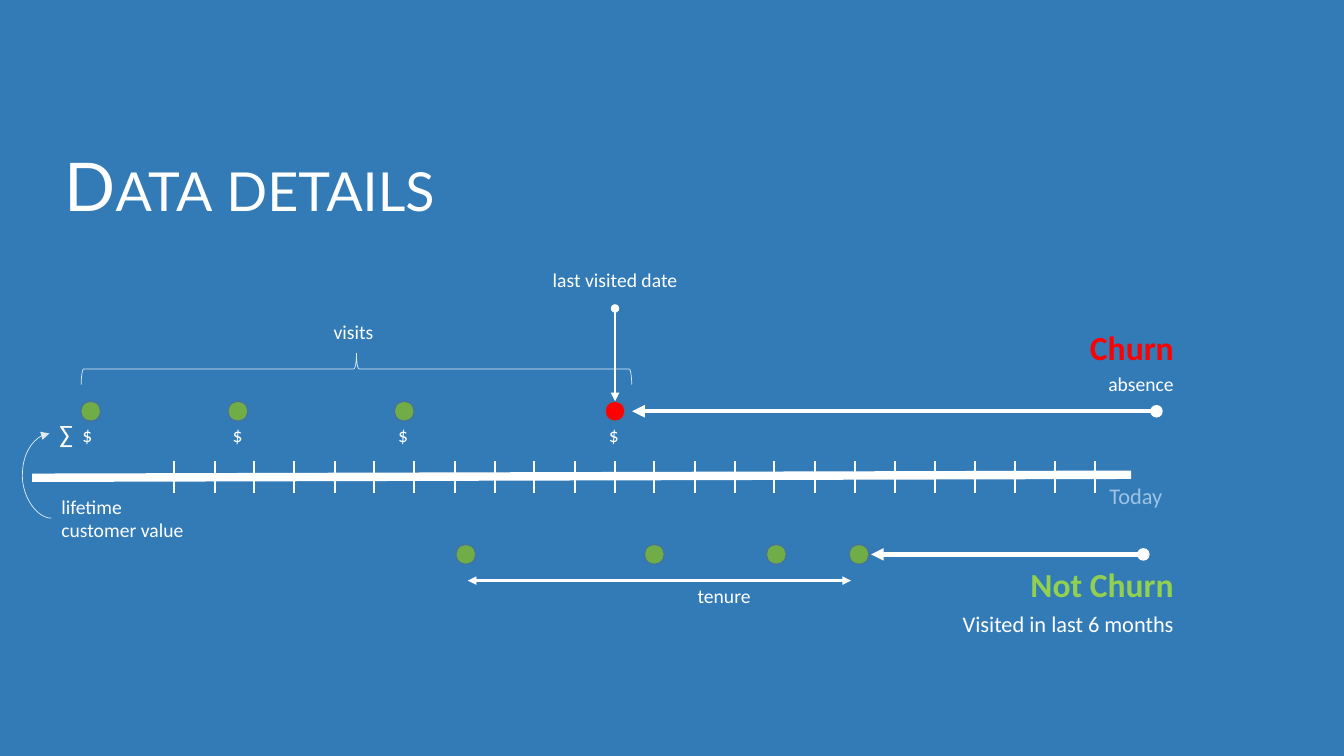
from dataclasses import dataclass

from lxml import etree
from pptx import Presentation
from pptx.dml.color import RGBColor
from pptx.enum.shapes import MSO_CONNECTOR, MSO_SHAPE
from pptx.enum.text import MSO_ANCHOR, MSO_AUTO_SIZE, PP_ALIGN
from pptx.oxml.ns import qn
from pptx.shapes.autoshape import Shape
from pptx.shapes.connector import Connector
from pptx.slide import Slide
from pptx.text.text import TextFrame
from pptx.util import Emu, Pt

EMU_PER_PX = 9144  # 100 px to the inch
STRAIGHT, CURVE = MSO_CONNECTOR.STRAIGHT, MSO_CONNECTOR.CURVE
OVAL, LEFT_BRACE = MSO_SHAPE.OVAL, MSO_SHAPE.LEFT_BRACE
LEFT, CENTER, RIGHT = PP_ALIGN.LEFT, PP_ALIGN.CENTER, PP_ALIGN.RIGHT
TITLE_ONLY_LAYOUT = 5
TOP_SITE = 0


@dataclass(frozen=True)
class Theme:
    background: str = "337BB6"
    white: str = "FFFFFF"
    pale: str = "DEEBF7"
    today: str = "9DC3E6"
    visit: str = "70AD47"
    dot_outline: str = "43739E"
    churn: str = "FF0000"
    not_churn: str = "92D050"
    title_font: str = "Lato"
    body_font: str = "Calibri"
    title_size: int = 48
    status_size: int = 24
    sum_size: int = 18
    note_size: int = 16
    label_size: int = 14


THEME = Theme()


@dataclass(frozen=True)
class Label:
    text: str
    left: int
    top: int
    width: int
    height: int
    align: PP_ALIGN = LEFT
    size: int = THEME.label_size
    color: str = THEME.white
    bold: bool = False
    wrap: bool = True


@dataclass(frozen=True)
class Line:
    start: tuple[int, int]
    end: tuple[int, int]
    weight: float
    head: str = ""
    tail: str = ""
    color: str = THEME.white
    kind: MSO_CONNECTOR = STRAIGHT


DOT_SIZE = 20
CHURN_DOTS_TOP = 398
CHURN_VISITS = (80, 226, 391)
LAST_VISIT = 600
ACTIVE_DOTS_TOP = 540
ACTIVE_VISITS = (452, 639, 760, 842)

TICK_COUNT = 24
FIRST_TICK, LAST_TICK = 173, 1086
TICK_TOP, TICK_BOTTOM = 457, 489

TIMELINE = Line((32, 474), (1122, 471), 6)
SPAN_ARROWS = (
    Line((864, 550), (1134, 550), 3, "triangle", "oval"),
    Line((627, 408), (1147, 408), 3, "triangle", "oval"),
    Line((464, 576), (844, 576), 2, "triangle", "triangle"),
)
LAST_VISIT_ARROW = Line((610, 398), (610, 306), 2, "triangle", "oval")
VALUE_CURVE = Line((49, 430), (51, 514), 0.5, tail="triangle", color=THEME.pale, kind=CURVE)
VALUE_CURVE_BULGE = 1436400

LABELS = (
    Label("Today", 1072, 473, 109, 37, CENTER, THEME.note_size, THEME.today),
    Label("absence", 826, 364, 348, 34, RIGHT),
    Label("Churn", 1006, 319, 168, 50, RIGHT, THEME.status_size, THEME.churn, bold=True),
    Label("Visited in last 6 months", 826, 600, 348, 37, RIGHT, THEME.note_size),
    Label("Not Churn", 967, 555, 207, 50, RIGHT, THEME.status_size, THEME.not_churn, bold=True),
    Label("last visited date", 482, 261, 256, 34, CENTER),
    Label("visits", 321, 312, 70, 34, wrap=False),
    Label("lifetime\ncustomer value", 51, 486, 170, 57, wrap=False),
    *(Label("$", left, 415, 33, 34, wrap=False) for left in (72, 221, 385, 594)),
    Label("∑", 49, 410, 37, 40, size=THEME.sum_size, wrap=False),
    Label("tenure", 682, 574, 83, 34, wrap=False),
)


def px(length: int) -> Emu:
    return Emu(length * EMU_PER_PX)


def rgb(color: str) -> RGBColor:
    return RGBColor.from_string(color)


def format_text(frame: TextFrame, label: Label, font_name: str) -> None:
    frame.text = label.text
    frame.word_wrap = label.wrap
    frame.auto_size = MSO_AUTO_SIZE.SHAPE_TO_FIT_TEXT
    frame.vertical_anchor = MSO_ANCHOR.TOP
    for paragraph in frame.paragraphs:
        paragraph.alignment = label.align
        font = paragraph.font
        font.name = font_name
        font.size = Pt(label.size)
        font.bold = label.bold
        font.color.rgb = rgb(label.color)


def add_label(slide: Slide, label: Label) -> None:
    box = slide.shapes.add_textbox(px(label.left), px(label.top), px(label.width), px(label.height))
    format_text(box.text_frame, label, THEME.body_font)


def add_line(slide: Slide, line: Line) -> Connector:
    connector = slide.shapes.add_connector(line.kind, *map(px, line.start + line.end))
    connector.line.color.rgb = rgb(line.color)
    connector.line.width = Pt(line.weight)
    properties = connector.element.spPr
    outline = properties.find(qn("a:ln"))
    for tag, arrowhead in (("a:headEnd", line.head), ("a:tailEnd", line.tail)):
        if arrowhead:
            etree.SubElement(outline, qn(tag), type=arrowhead)
    etree.SubElement(properties, qn("a:effectLst"))
    return connector


def add_dot(slide: Slide, left: int, top: int, color: str) -> Shape:
    dot = slide.shapes.add_shape(OVAL, px(left), px(top), px(DOT_SIZE), px(DOT_SIZE))
    dot.shadow.inherit = False
    dot.fill.solid()
    dot.fill.fore_color.rgb = rgb(color)
    dot.line.color.rgb = rgb(THEME.dot_outline)
    dot.line.width = Pt(1)
    return dot


def add_title(slide: Slide) -> None:
    title = slide.shapes.title
    title.left, title.top, title.width, title.height = map(px, (54, 138, 795, 91))
    label = Label("Data details", 54, 138, 795, 91, size=THEME.title_size)
    format_text(title.text_frame, label, THEME.title_font)
    run = title.text_frame.paragraphs[0].runs[0]
    run.font.bold = False
    title.element.find(".//" + qn("a:rPr")).set("cap", "small")


def add_visits_brace(slide: Slide) -> None:
    brace = slide.shapes.add_shape(LEFT_BRACE, px(338), px(93), px(31), px(546))
    brace.rotation = 90
    brace.shadow.inherit = False
    brace.fill.background()
    brace.line.color.rgb = rgb(THEME.pale)
    brace.line.width = Pt(0.5)


def add_value_curve(slide: Slide) -> None:
    """Half turn makes the curve bulge left and end at the sum sign."""
    properties = add_line(slide, VALUE_CURVE).element.spPr
    properties.find(qn("a:xfrm")).set("rot", "10800000")
    adjustments = properties.find(".//" + qn("a:avLst"))
    etree.SubElement(adjustments, qn("a:gd"), name="adj1", fmla=f"val {VALUE_CURVE_BULGE}")


def add_timeline(slide: Slide) -> None:
    add_line(slide, TIMELINE)
    for index in range(TICK_COUNT):
        x = round(FIRST_TICK + index * (LAST_TICK - FIRST_TICK) / (TICK_COUNT - 1))
        add_line(slide, Line((x, TICK_TOP), (x, TICK_BOTTOM), 1.5))


def main() -> None:
    presentation = Presentation()
    presentation.slide_width, presentation.slide_height = px(1333), px(750)
    slide = presentation.slides.add_slide(presentation.slide_layouts[TITLE_ONLY_LAYOUT])
    slide.background.fill.solid()
    slide.background.fill.fore_color.rgb = rgb(THEME.background)

    add_title(slide)
    add_timeline(slide)
    for left in ACTIVE_VISITS:
        add_dot(slide, left, ACTIVE_DOTS_TOP, THEME.visit)
    for left in CHURN_VISITS:
        add_dot(slide, left, CHURN_DOTS_TOP, THEME.visit)
    last_visit = add_dot(slide, LAST_VISIT, CHURN_DOTS_TOP, THEME.churn)
    for arrow in SPAN_ARROWS:
        add_line(slide, arrow)
    add_visits_brace(slide)
    for label in LABELS:
        add_label(slide, label)
    add_value_curve(slide)
    add_line(slide, LAST_VISIT_ARROW).begin_connect(last_visit, TOP_SITE)
    presentation.save("out.pptx")


if __name__ == "__main__":
    main()
